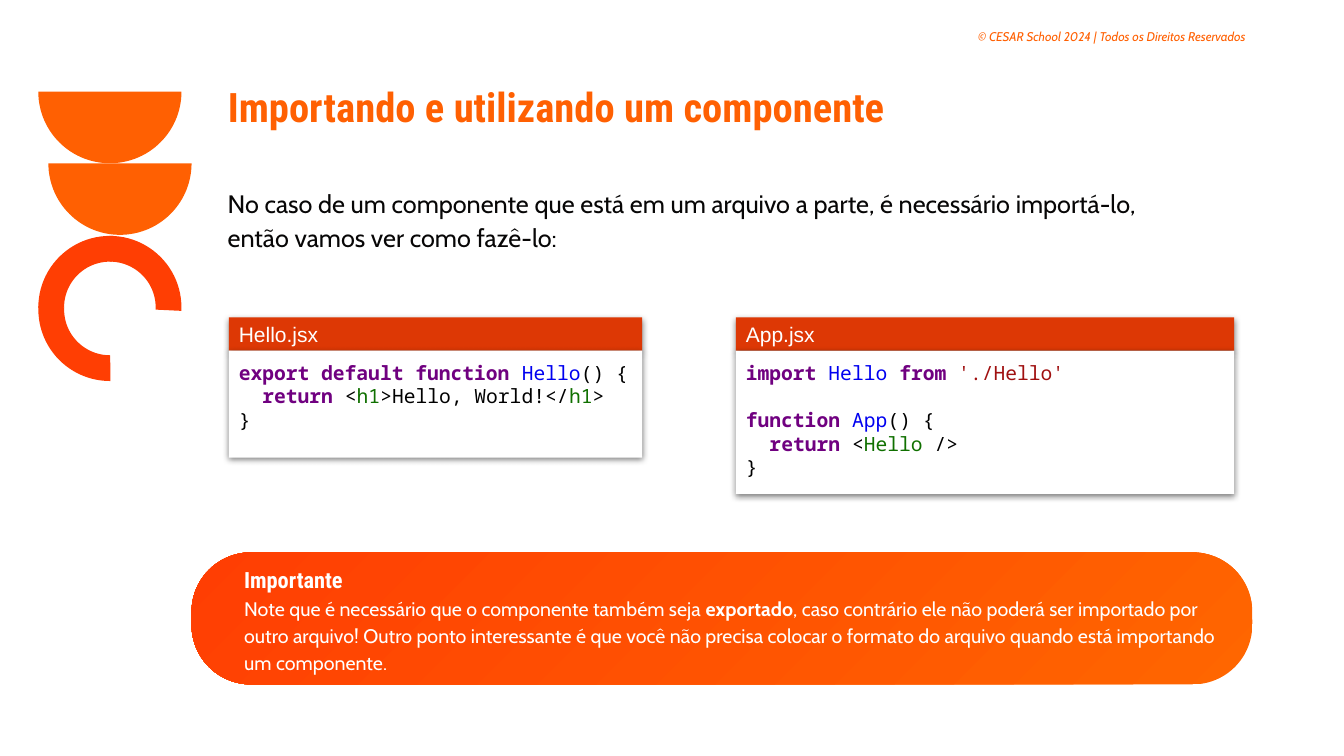
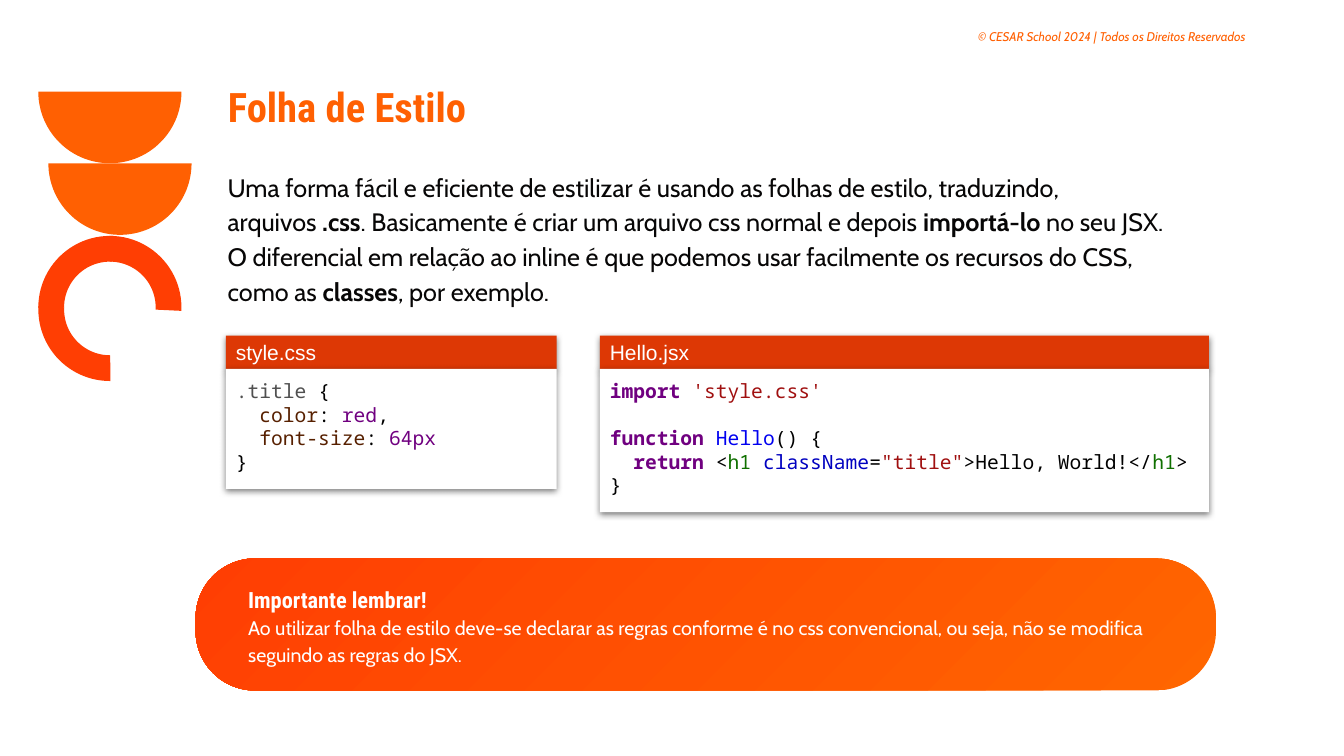
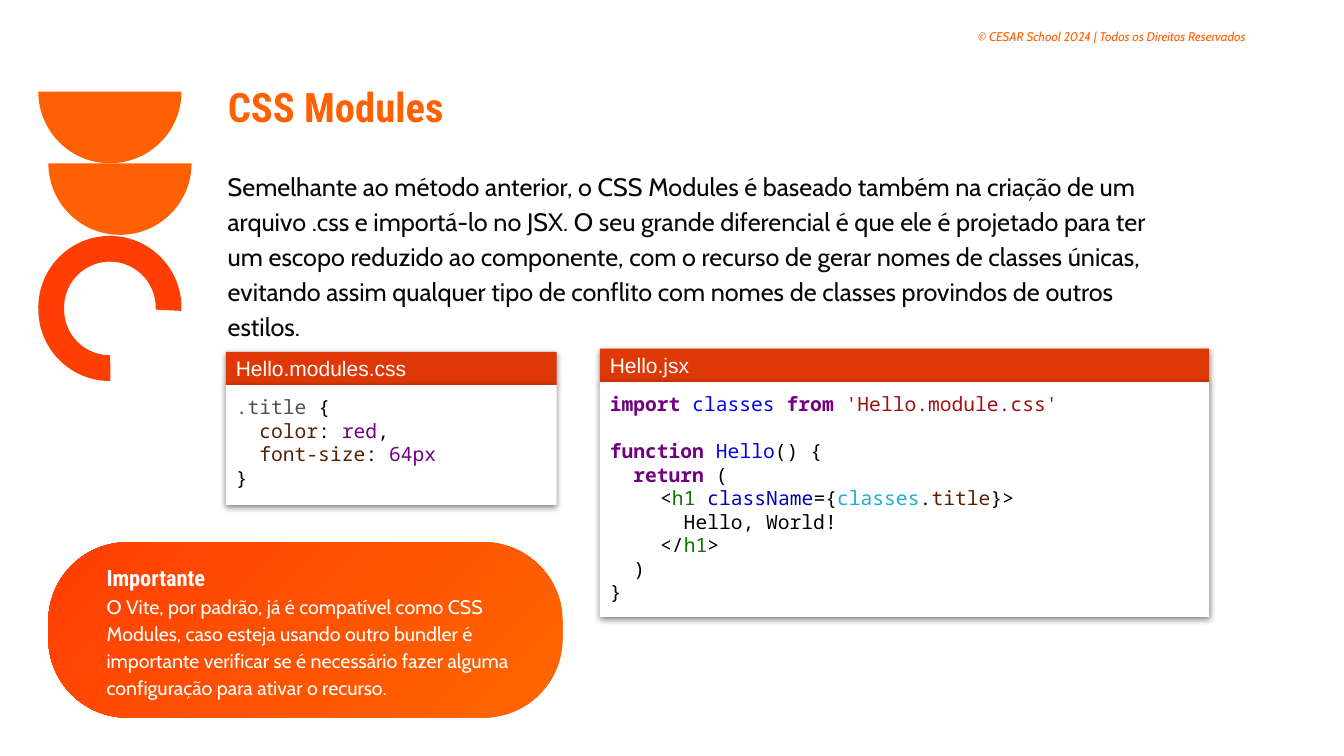
from dataclasses import dataclass
from functools import partial
from math import cos, pi, sin
from typing import NamedTuple, Optional

from lxml.etree import SubElement
from pptx import Presentation
from pptx.dml.color import RGBColor
from pptx.enum.shapes import MSO_SHAPE
from pptx.enum.text import MSO_ANCHOR, MSO_AUTO_SIZE, PP_ALIGN
from pptx.oxml.ns import qn
from pptx.util import Inches, Pt


@dataclass(frozen=True)
class Theme:
    orange: str = "FF6002"
    red: str = "FF3E03"
    gradient_start: str = "FF6600"
    panel_header: str = "DD3805"
    white: str = "FFFFFF"
    black: str = "000000"
    body: str = "070606"
    heading_font: str = "Roboto Condensed"
    text_font: str = "Cabin"
    file_font: str = "Arial"
    code_font: str = "Noto Sans Mono"
    title_size: int = 29
    body_size: int = 18
    callout_title_size: int = 16
    file_size: int = 15
    small_size: int = 14
    copyright_size: int = 9
    line_spacing: float = 1.15


class Run(NamedTuple):
    text: str
    color: Optional[str] = None
    bold: Optional[bool] = None


strong = partial(Run, bold=True)
keyword = partial(Run, color="700080", bold=True)
value = partial(Run, color="700080")
name = partial(Run, color="0000F0")
string = partial(Run, color="A01010")
tag = partial(Run, color="107000")
attribute = partial(Run, color="0000C0")
selector = partial(Run, color="505050")
prop = partial(Run, color="572000")
variable = partial(Run, color="1AB1CD")

HELLO_FUNCTION = [keyword("function "), name("Hello"), "() {"]
STYLE_SHEET = [
    [selector(".title"), " {"],
    ["  ", prop("color"), ": ", value("red"), ","],
    ["  ", prop("font-size"), ": ", value("64px")],
    ["}"],
]


class Deck:
    def __init__(self, theme):
        self.theme = theme
        self.presentation = Presentation()
        self.presentation.slide_width = Inches(13.33)
        self.presentation.slide_height = Inches(7.5)
        self.slide = None

    def add_slide(self, title):
        theme = self.theme
        self.slide = self.presentation.slides.add_slide(self.presentation.slide_layouts[5])
        placeholder = self.slide.shapes.title
        placeholder.left, placeholder.top = Inches(2.16), Inches(0.71)
        placeholder.width, placeholder.height = Inches(8.69), Inches(0.71)
        frame = self.format_frame(placeholder)
        self.fill_paragraph(frame.paragraphs[0], [title], theme.heading_font,
                            theme.title_size, theme.orange, bold=True)
        self.copyright()
        self.half_disc(0.48, 1.62)
        for top, rotation in ((2.34, 270), (2.34, 0), (2.36, 180)):
            self.quarter_ring(top, rotation)
        self.half_disc(0.38, 0.91)

    def format_frame(self, shape, margins=(0.1, 0.1, 0.1, 0.1), anchor=MSO_ANCHOR.TOP):
        """Set wrapping, anchor and margins (left, top, right, bottom)."""
        frame = shape.text_frame
        frame.word_wrap = True
        frame.auto_size = MSO_AUTO_SIZE.NONE
        frame.vertical_anchor = anchor
        (frame.margin_left, frame.margin_top,
         frame.margin_right, frame.margin_bottom) = map(Inches, margins)
        return frame

    def fill_paragraph(self, paragraph, runs, font, size, color, bold=None, italic=None,
                       spacing=None, align=PP_ALIGN.LEFT):
        paragraph.alignment = align
        paragraph.line_spacing = spacing
        paragraph.font.name = font
        paragraph.font.size = Pt(size)
        paragraph.font.color.rgb = RGBColor.from_string(color)
        paragraph.font.bold = bold
        paragraph.font.italic = italic
        for item in runs:
            part = Run(item) if isinstance(item, str) else item
            run = paragraph.add_run()
            run.text = part.text
            if part.color:
                run.font.color.rgb = RGBColor.from_string(part.color)
            if part.bold:
                run.font.bold = True
        if not runs:
            ending = SubElement(paragraph._p, qn("a:endParaRPr"), sz=str(size * 100))
            SubElement(ending, qn("a:latin"), typeface=font)

    def text_box(self, left, top, width, height, margin=0.1):
        box = self.slide.shapes.add_textbox(*map(Inches, (left, top, width, height)))
        return self.format_frame(box, (margin,) * 4)

    def copyright(self):
        theme = self.theme
        frame = self.text_box(9.55, 0.22, 2.95, 0.34, margin=0.07)
        self.fill_paragraph(frame.paragraphs[0],
                            ["© CESAR School 2024 | Todos os Direitos Reservados"],
                            theme.text_font, theme.copyright_size, theme.orange,
                            italic=True, align=PP_ALIGN.CENTER)

    def body(self, top, height, runs):
        theme = self.theme
        frame = self.text_box(2.16, top, 9.66, height)
        self.fill_paragraph(frame.paragraphs[0], runs, theme.text_font, theme.body_size,
                            theme.body, spacing=theme.line_spacing)

    def finish(self, shape, color):
        """Give a shape a plain fill without line or shadow."""
        shape.shadow.inherit = False
        shape.line.fill.background()
        shape.fill.solid()
        shape.fill.fore_color.rgb = RGBColor.from_string(color)

    def shape(self, kind, left, top, width, height, color):
        shape = self.slide.shapes.add_shape(kind, *map(Inches, (left, top, width, height)))
        self.finish(shape, color)
        return shape

    def half_disc(self, left, top, radius=0.71, steps=60):
        center = left + radius
        points = [(Inches(center + radius * cos(pi * step / steps)),
                   Inches(top + radius * sin(pi * step / steps)))
                  for step in range(steps + 1)]
        builder = self.slide.shapes.build_freeform(*points[0])
        builder.add_line_segments(points[1:], close=True)
        self.finish(builder.convert_to_shape(), self.theme.orange)

    def quarter_ring(self, top, rotation):
        ring = self.shape(MSO_SHAPE.BLOCK_ARC, 0.38, top, 1.42, 1.42, self.theme.red)
        for index, adjustment in enumerate((161.78, 1.63, 0.18)):
            ring.adjustments[index] = adjustment
        ring.rotation = rotation

    def shadowed_rectangle(self, left, top, width, height, color):
        rectangle = self.shape(MSO_SHAPE.RECTANGLE, left, top, width, height, color)
        effects = rectangle._element.spPr.find(qn("a:effectLst"))
        shadow = SubElement(effects, qn("a:outerShdw"), blurRad=str(Pt(4.5)),
                            dist=str(Pt(1.5)), dir="5400000", algn="bl", rotWithShape="0")
        shade = SubElement(shadow, qn("a:srgbClr"), val=self.theme.black)
        SubElement(shade, qn("a:alpha"), val="50000")
        return rectangle

    def code_panel(self, left, top, width, height, file_name, lines, indented=()):
        """Draw a file header over its code; indented holds the numbers of shifted lines."""
        theme = self.theme
        header_height = 0.33
        header = self.shadowed_rectangle(left, top, width, header_height, theme.panel_header)
        frame = self.format_frame(header, (0.1, 0, 0, 0))
        self.fill_paragraph(frame.paragraphs[0], [file_name], theme.file_font,
                            theme.file_size, theme.white, spacing=theme.line_spacing)
        code = self.shadowed_rectangle(left, top + header_height, width, height, theme.white)
        frame = self.format_frame(code)
        for number, runs in enumerate(lines):
            paragraph = frame.add_paragraph() if number else frame.paragraphs[0]
            if number in indented:
                paragraph._p.get_or_add_pPr().set("indent", str(Inches(0.5)))
            self.fill_paragraph(paragraph, runs, theme.code_font, theme.small_size,
                                theme.black)

    def callout(self, left, top, width, height, title, runs):
        theme = self.theme
        callout = self.shape(MSO_SHAPE.ROUNDED_RECTANGLE, left, top, width, height, theme.red)
        callout.adjustments[0] = 0.45
        callout.fill.gradient()
        callout.fill.gradient_angle = 135
        for stop, color in zip(callout.fill.gradient_stops, (theme.gradient_start, theme.red)):
            stop.color.rgb = RGBColor.from_string(color)
        frame = self.format_frame(callout, anchor=MSO_ANCHOR.MIDDLE)
        heading, text = frame.paragraphs[0], frame.add_paragraph()
        for paragraph in (heading, text):
            paragraph._p.get_or_add_pPr().set("marL", str(Inches(0.25)))
        self.fill_paragraph(heading, [title], theme.heading_font, theme.callout_title_size,
                            theme.white, bold=True, spacing=theme.line_spacing)
        self.fill_paragraph(text, runs, theme.text_font, theme.small_size,
                            theme.white, spacing=theme.line_spacing)


def import_slide(deck):
    deck.add_slide("Importando e utilizando um componente")
    deck.body(1.72, 0.85, [
        "No caso de um componente que está em um arquivo a parte, é necessário importá-lo, "
        "então vamos ver como fazê-lo:"])
    deck.code_panel(7.3, 3.15, 4.94, 1.42, "App.jsx", [
        [keyword("import "), name("Hello "), keyword("from "), string("'./Hello'")],
        [],
        [keyword("function "), name("App"), "() {"],
        ["  ", keyword("return"), " <", tag("Hello"), " />"],
        ["}"],
    ])
    deck.code_panel(2.27, 3.15, 4.1, 1.06, "Hello.jsx", [
        [keyword("export default function "), name("Hello"), "() {"],
        ["  ", keyword("return"), " <", tag("h1"), ">Hello, World!</", tag("h1"), ">"],
        ["}"],
    ])
    deck.callout(1.9, 5.48, 10.52, 1.31, "Importante", [
        "Note que é necessário que o componente também seja ", strong("exportado"),
        ", caso contrário ele não poderá ser importado por outro arquivo! Outro ponto "
        "interessante é que você não precisa colocar o formato do arquivo quando está "
        "importando um componente."])


def style_sheet_slide(deck):
    deck.add_slide("Folha de Estilo")
    deck.body(1.56, 1.55, [
        "Uma forma fácil e eficiente de estilizar é usando as folhas de estilo, traduzindo, "
        "arquivos ", strong(".css"),
        ". Basicamente é criar um arquivo css normal e depois ", strong("importá-lo"),
        " no seu JSX. O diferencial em relação ao inline é que podemos usar facilmente os "
        "recursos do CSS, como as ", strong("classes"), ", por exemplo."])
    deck.code_panel(5.95, 3.33, 6.04, 1.42, "Hello.jsx", [
        [keyword("import "), string("'style.css'")],
        [],
        HELLO_FUNCTION,
        ["  ", keyword("return"), " <", tag("h1 "), attribute("className"), "=",
         string('"title"'), ">Hello, World!</", tag("h1"), ">"],
        ["}"],
    ])
    deck.code_panel(2.24, 3.33, 3.28, 1.19, "style.css", STYLE_SHEET)
    deck.callout(1.94, 5.54, 10.12, 1.31, "Importante lembrar!", [
        "Ao utilizar folha de estilo deve-se declarar as regras conforme é no css "
        "convencional, ou seja, não se modifica seguindo as regras do JSX."])


def css_modules_slide(deck):
    deck.add_slide("CSS Modules")
    deck.body(1.56, 1.9, [
        "Semelhante ao método anterior, o CSS Modules é baseado também na criação de um "
        "arquivo .css e importá-lo no JSX. O seu grande diferencial é que ele é projetado "
        "para ter um escopo reduzido ao componente, com o recurso de gerar nomes de classes "
        "únicas, evitando assim qualquer tipo de conflito com nomes de classes provindos de "
        "outros estilos."])
    deck.code_panel(5.95, 3.46, 6.04, 2.33, "Hello.jsx", [
        [keyword("import "), name("classes "), keyword("from "), string("'Hello.module.css'")],
        [],
        HELLO_FUNCTION,
        ["  ", keyword("return"), " ("],
        ["<", tag("h1 "), attribute("className"), "={", variable("classes"), ".",
         prop("title"), "}>"],
        ["  Hello, World!"],
        ["</", tag("h1"), ">"],
        ["  )"],
        ["}"],
    ], indented=range(4, 7))
    deck.code_panel(2.24, 3.49, 3.28, 1.19, "Hello.modules.css", STYLE_SHEET)
    deck.callout(0.48, 5.38, 5.1, 1.74, "Importante", [
        "O Vite, por padrão, já é compatível como CSS Modules, caso esteja usando outro "
        "bundler é importante verificar se é necessário fazer alguma configuração para "
        "ativar o recurso."])


def main():
    deck = Deck(Theme())
    import_slide(deck)
    style_sheet_slide(deck)
    css_modules_slide(deck)
    deck.presentation.save("out.pptx")


if __name__ == "__main__":
    main()
